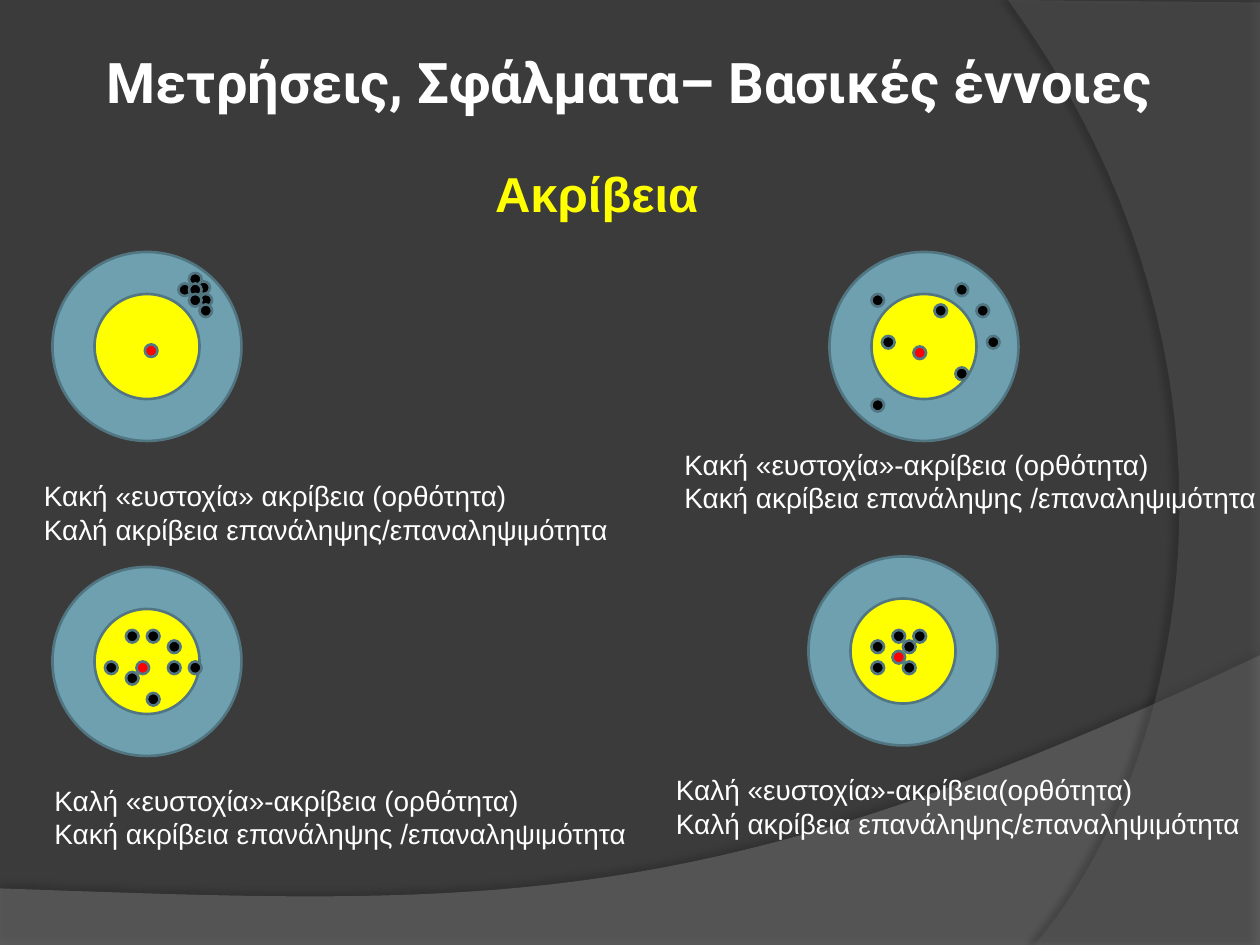
from lxml import etree
from pptx import Presentation
from pptx.dml.color import RGBColor
from pptx.enum.shapes import MSO_SHAPE
from pptx.enum.text import MSO_ANCHOR, PP_ALIGN
from pptx.oxml.ns import qn
from pptx.util import Cm, Pt

OVAL = MSO_SHAPE.OVAL
CENTER = PP_ALIGN.CENTER
TOP = MSO_ANCHOR.TOP

THEME = {
    "background": "3B3B3B", "text": "FFFFFF", "heading": "FFFF00",
    "ring": "6EA0B0", "bullseye": "FFFF00", "outline": "517682",
    "hit": "000000", "true value": "FF0000", "shadow": "000000",
    "lower band": "7F7F7F", "side band": "5E5E5E",
    "title font": "Roboto", "body font": "Arial",
    "title size": 32, "heading size": 28, "caption size": 16,
}
STEP = 2.54 / 12  # drawing grid in cm
DOT = 1.2         # dot diameter in grid steps


def add_disc(shapes, x, y, size, role):
    """Add an outlined circle, placed in grid steps."""
    disc = shapes.add_shape(OVAL, Cm(x * STEP), Cm(y * STEP),
                            Cm(size * STEP), Cm(size * STEP))
    disc.shadow.inherit = False
    disc.fill.solid()
    disc.fill.fore_color.rgb = RGBColor.from_string(THEME[role])
    disc.line.color.rgb = RGBColor.from_string(THEME["outline"])
    disc.line.width = Pt(1.5)


def set_text(tf, lines, font, size, color, bold=False, align=None):
    """Write one paragraph per line in a single format."""
    tf.text = "\n".join(lines)
    for p in tf.paragraphs:
        p.alignment = align
        p.font.name = THEME[font]
        p.font.size = Pt(THEME[size])
        p.font.bold = bold
        p.font.color.rgb = RGBColor.from_string(THEME[color])


prs = Presentation()
prs.slide_width, prs.slide_height = Cm(25.4), Cm(19.05)
s = prs.slides.add_slide(prs.slide_layouts[5])
s.background.fill.solid()
s.background.fill.fore_color.rgb = RGBColor.from_string(THEME["background"])

# Title
title = s.shapes.title
title.left, title.top, title.width, title.height = Cm(0), Cm(0.84), Cm(25.4), Cm(2.11)
title.text_frame.vertical_anchor = TOP
set_text(title.text_frame, ["Μετρήσεις, Σφάλματα– Βασικές έννοιες"],
         "title font", "title size", "text", True, CENTER)

# Background bands: corners in cm, then a Bezier edge from the last corner
bands = [
    ("lower band", 45, [(0, 17.91), (0, 19.05), (25.4, 19.05), (25.4, 13.21)],
     [(14.2, 18.52), (9.93, 18.26), (0, 17.91)], (35, 3.5, 270)),
    ("side band", 40, [(25.4, 0.05), (25.4, 19.05), (20.85, 19.05)],
     [(23.75, 15.72), (25.86, 7.62), (20.32, 0)], (45, 4, 180)),
]
for role, opacity, corners, controls, (shade, distance, angle) in bands:
    points = list(corners)
    for i in range(1, 41):
        t = i / 40
        weights = ((1 - t) ** 3, 3 * t * (1 - t) ** 2, 3 * t * t * (1 - t), t ** 3)
        edge = [corners[-1]] + controls
        points.append(tuple(sum(w * c[axis] for w, c in zip(weights, edge))
                            for axis in (0, 1)))
    points = [(Cm(x), Cm(y)) for x, y in points]
    builder = s.shapes.build_freeform(*points[0])
    builder.add_line_segments(points[1:], close=True)
    band = builder.convert_to_shape()
    band.line.fill.background()
    band.fill.solid()
    band.fill.fore_color.rgb = RGBColor.from_string(THEME[role])
    fill_color = next(band.element.spPr.iter(qn("a:srgbClr")))
    etree.SubElement(fill_color, qn("a:alpha"), val=str(opacity * 1000))
    band.shadow.inherit = False
    effects = band.element.spPr.find(qn("a:effectLst"))
    shadow = etree.SubElement(effects, qn("a:outerShdw"), blurRad=str(Pt(4)),
                              dist=str(Pt(distance)), dir=str(angle * 60000),
                              rotWithShape="0")
    shadow_color = etree.SubElement(shadow, qn("a:srgbClr"), val=THEME["shadow"])
    etree.SubElement(shadow_color, qn("a:alpha"), val=str(shade * 1000))
    title.element.addprevious(band.element)  # keep bands behind the title

# Targets: origin, true value and hits relative to it, caption box (grid steps)
targets = [
    ((5, 24), (8.8, 8.8),
     [(13, 2), (13.8, 2.8), (12, 3), (14, 4), (13, 3), (14, 5), (13, 4)],
     (3, 45, 56.8), ["Κακή «ευστοχία» ακρίβεια (ορθότητα)",
                     "Καλή ακρίβεια επανάληψης/επαναληψιμότητα"]),
    ((5, 54), (8, 9),
     [(11, 7), (5, 9), (9, 12), (9, 6), (11, 9), (7, 10), (7, 6), (13, 9)],
     (4, 74, 57.6), ["Καλή «ευστοχία»-ακρίβεια (ορθότητα)",
                     "Κακή ακρίβεια επανάληψης /επαναληψιμότητα"]),
    ((79, 24), (8, 9),
     [(12, 3), (14, 5), (10, 5), (15, 8), (12, 11), (5, 8), (4, 4), (4, 14)],
     (64, 42, 57.6), ["Κακή «ευστοχία»-ακρίβεια (ορθότητα)",
                      "Κακή ακρίβεια επανάληψης /επαναληψιμότητα"]),
    ((77, 53), (8, 9),
     [(10, 7), (8, 7), (9, 8), (9, 10), (6, 8), (6, 10)],
     (63.2, 73, 56.8), ["Καλή «ευστοχία»-ακρίβεια(ορθότητα)",
                        "Καλή ακρίβεια επανάληψης/επαναληψιμότητα"]),
]
for (x, y), (cx, cy), hits, (left, top, width), caption in targets:
    shapes = s.shapes.add_group_shape().shapes
    add_disc(shapes, x, y, 18, "ring")
    add_disc(shapes, x + 4, y + 4, 10, "bullseye")
    add_disc(shapes, x + cx, y + cy, DOT, "true value")
    for dx, dy in hits:
        add_disc(shapes, x + dx, y + dy, DOT, "hit")
    box = shapes.add_textbox(Cm(left * STEP), Cm(top * STEP),
                             Cm(width * STEP), Cm(1.63))
    set_text(box.text_frame, caption, "body font", "caption size", "text")

# Heading
heading = s.shapes.add_textbox(Cm(9.73), Cm(3.18), Cm(4.93), Cm(1.45))
set_text(heading.text_frame, ["Ακρίβεια"], "body font", "heading size",
         "heading", True)

prs.save("out.pptx")
